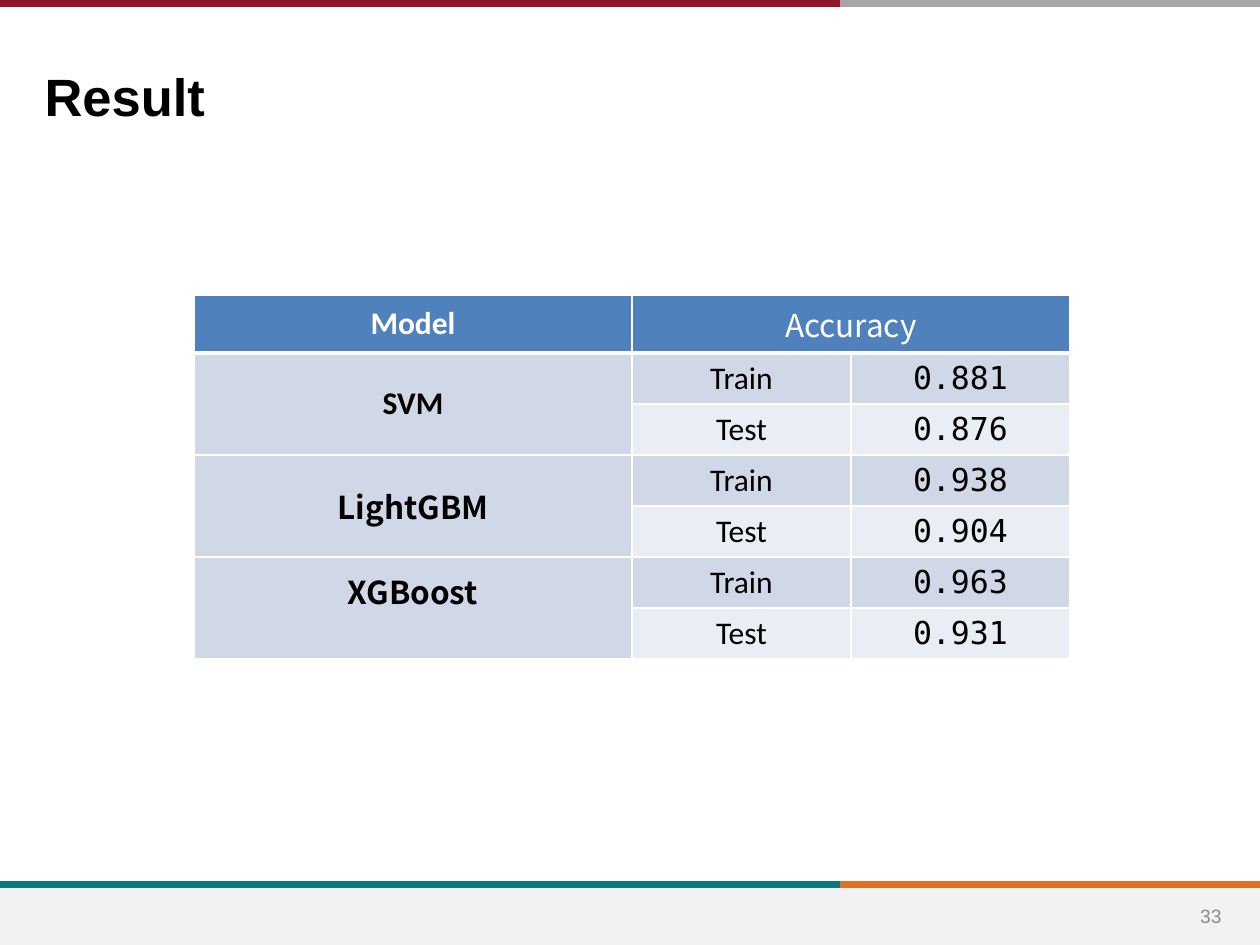
from lxml.etree import SubElement
from pptx import Presentation
from pptx.dml.color import RGBColor
from pptx.enum.shapes import MSO_CONNECTOR, MSO_SHAPE
from pptx.enum.text import MSO_ANCHOR as Anchor, PP_ALIGN as Align
from pptx.oxml.ns import qn
from pptx.util import Emu, Pt

WHITE = RGBColor(0xFF, 0xFF, 0xFF)
BLACK = RGBColor(0x00, 0x00, 0x00)
CRIMSON = RGBColor(0x90, 0x15, 0x2A)
GREY = RGBColor(0xA6, 0xA6, 0xA6)
TEAL = RGBColor(0x0F, 0x78, 0x7D)
ORANGE = RGBColor(0xDF, 0x70, 0x23)
FOOTER_FILL = RGBColor(0xF2, 0xF2, 0xF2)
NUMBER_GREY = RGBColor(0x8C, 0x8C, 0x8C)
HEADER_BLUE = RGBColor(0x4F, 0x81, 0xBD)
BAND_DARK = RGBColor(0xD0, 0xD8, 0xE8)
BAND_LIGHT = RGBColor(0xE9, 0xED, 0xF4)

SANS, NOTO, MONO = "Calibri", "Noto Sans CJK SC", "DejaVu Sans Mono"
WIDTH, HEIGHT, SPLIT = 1260, 945, 840
HEADER_HEIGHT, ROW_HEIGHT = 58, 51
COLUMN_WIDTHS = (438, 219, 219)

# Model, font of its name, accuracy on each split
RESULTS = (
    ("SVM", SANS, {"Train": "0.881", "Test": "0.876"}),
    ("LightGBM", NOTO, {"Train": "0.938", "Test": "0.904"}),
    ("XGBoost", NOTO, {"Train": "0.963", "Test": "0.931"}),
)


def px(length):
    return Emu(round(length * 914400 / 126))


def write(frame, text, align, anchor=Anchor.MIDDLE, color=BLACK, **font):
    frame.word_wrap = True
    frame.vertical_anchor = anchor
    para = frame.paragraphs[0]
    para.alignment = align
    span = para.add_run()
    span.text = text
    for name, value in font.items():
        setattr(span.font, name, value)
    span.font.color.rgb = color


def add_rule(page, y, left, right, color):
    rule = page.shapes.add_connector(
        MSO_CONNECTOR.STRAIGHT, px(left), px(y), px(right), px(y))
    rule.line.color.rgb = color
    rule.line.width = Pt(4)
    SubElement(rule._element.spPr, qn("a:effectLst"))


def add_frame(page):
    footer = page.shapes.add_shape(
        MSO_SHAPE.RECTANGLE, 0, px(888), px(WIDTH), px(HEIGHT - 888))
    footer.shadow.inherit = False
    footer.fill.solid()
    footer.fill.fore_color.rgb = FOOTER_FILL
    footer.line.fill.background()
    for y, left_color, right_color in ((4, CRIMSON, GREY), (885, TEAL, ORANGE)):
        add_rule(page, y, SPLIT, WIDTH, right_color)
        add_rule(page, y, 0, SPLIT, left_color)


def add_title(page, text):
    title = page.shapes.title
    title.left, title.top, title.width, title.height = map(px, (32, 58, 1007, 74))
    write(title.text_frame, text, Align.LEFT, Anchor.TOP,
          name="Arial", size=Pt(30), bold=True)


def add_page_number(page, text):
    box = page.shapes.add_textbox(px(1178), px(891), px(66), px(50))
    write(box.text_frame, text, Align.CENTER, color=NUMBER_GREY,
          name="Arial", size=Pt(11))


def style_cell(cell, fill, top, bottom):
    properties = cell._tc.get_or_add_tcPr()
    for side, points in (("L", 1), ("R", 1), ("T", top), ("B", bottom)):
        border = SubElement(properties, qn(f"a:ln{side}"), w=str(Pt(points)))
        paint = SubElement(border, qn("a:solidFill"))
        SubElement(paint, qn("a:srgbClr"), val=str(WHITE))
    cell.fill.solid()
    cell.fill.fore_color.rgb = fill


def fill_cell(cell, text, font, bold=False, color=BLACK):
    cell.vertical_anchor = Anchor.MIDDLE
    write(cell.text_frame, text, Align.CENTER, color=color,
          name=font, size=Pt(18), bold=bold)


def add_results_table(page):
    row_count = 1 + sum(len(scores) for _, _, scores in RESULTS)
    height = HEADER_HEIGHT + (row_count - 1) * ROW_HEIGHT
    table = page.shapes.add_table(
        row_count, len(COLUMN_WIDTHS), px(194), px(295),
        px(sum(COLUMN_WIDTHS)), px(height)).table
    for column, width in zip(table.columns, COLUMN_WIDTHS):
        column.width = px(width)

    # Fills and borders, with a thick rule under the header
    for index, row in enumerate(table.rows):
        row.height = px(ROW_HEIGHT if index else HEADER_HEIGHT)
        band = BAND_DARK if index % 2 else BAND_LIGHT
        for column, cell in enumerate(row.cells):
            body = BAND_DARK if column == 0 else band
            style_cell(cell, body if index else HEADER_BLUE,
                       3 if index == 1 else 1, 1 if index else 3)

    # Header
    table.cell(0, 1).merge(table.cell(0, 2))
    fill_cell(table.cell(0, 0), "Model", SANS, True, WHITE)
    fill_cell(table.cell(0, 1), "Accuracy", NOTO, False, WHITE)

    # One merged model cell beside its scores
    first = 1
    for model, font, scores in RESULTS:
        name_cell = table.cell(first, 0)
        name_cell.merge(table.cell(first + len(scores) - 1, 0))
        fill_cell(name_cell, model, font, True)
        for row, (split, score) in enumerate(scores.items(), first):
            fill_cell(table.cell(row, 1), split, SANS)
            fill_cell(table.cell(row, 2), score, MONO)
        first += len(scores)
    # The last model name sits above the middle of its cell
    name_cell.margin_bottom = px(40)


def main():
    deck = Presentation()
    deck.slide_width, deck.slide_height = px(WIDTH), px(HEIGHT)
    page = deck.slides.add_slide(deck.slide_layouts[5])
    add_frame(page)
    add_title(page, "Result")
    add_page_number(page, "33")
    add_results_table(page)
    deck.save("out.pptx")


if __name__ == "__main__":
    main()
